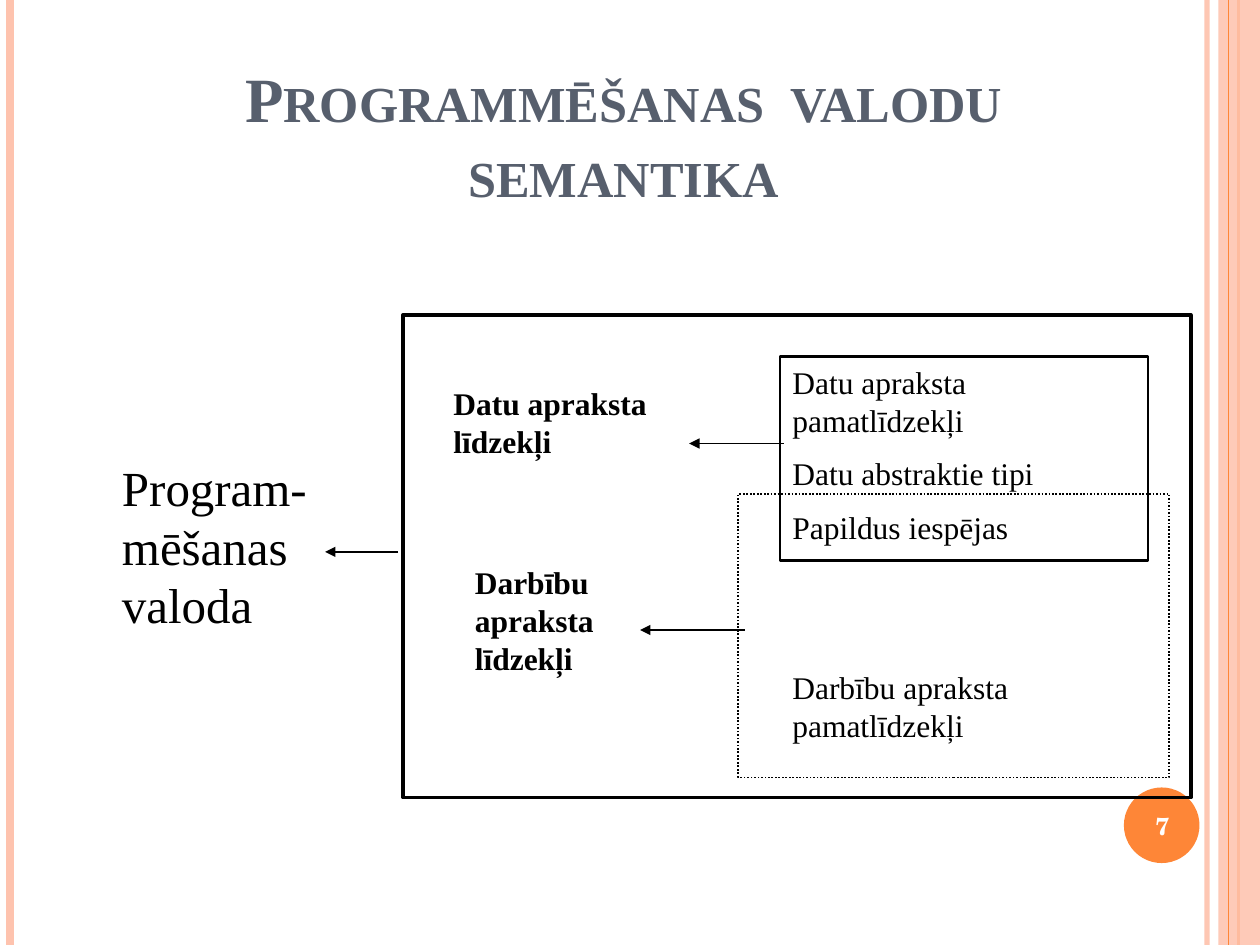
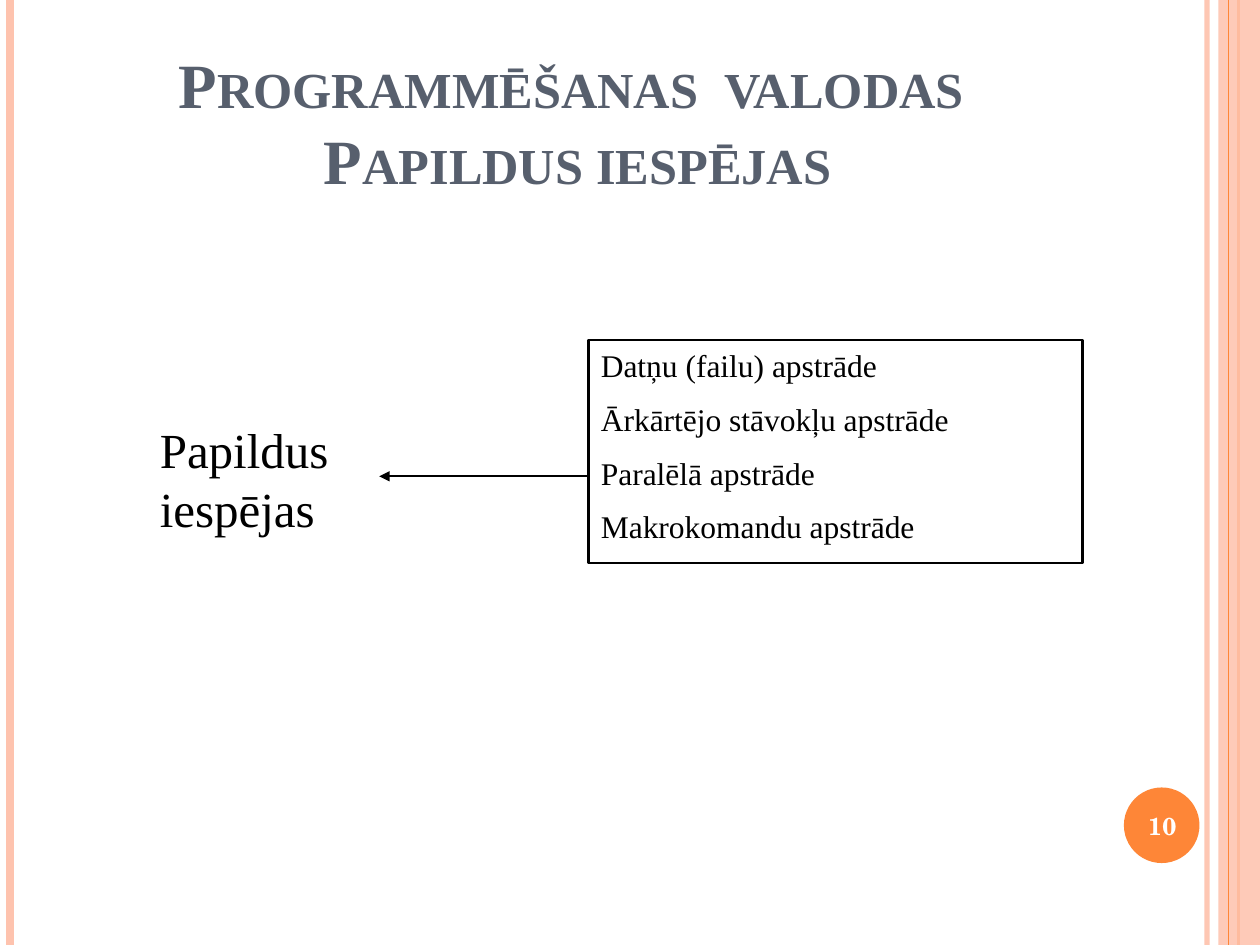
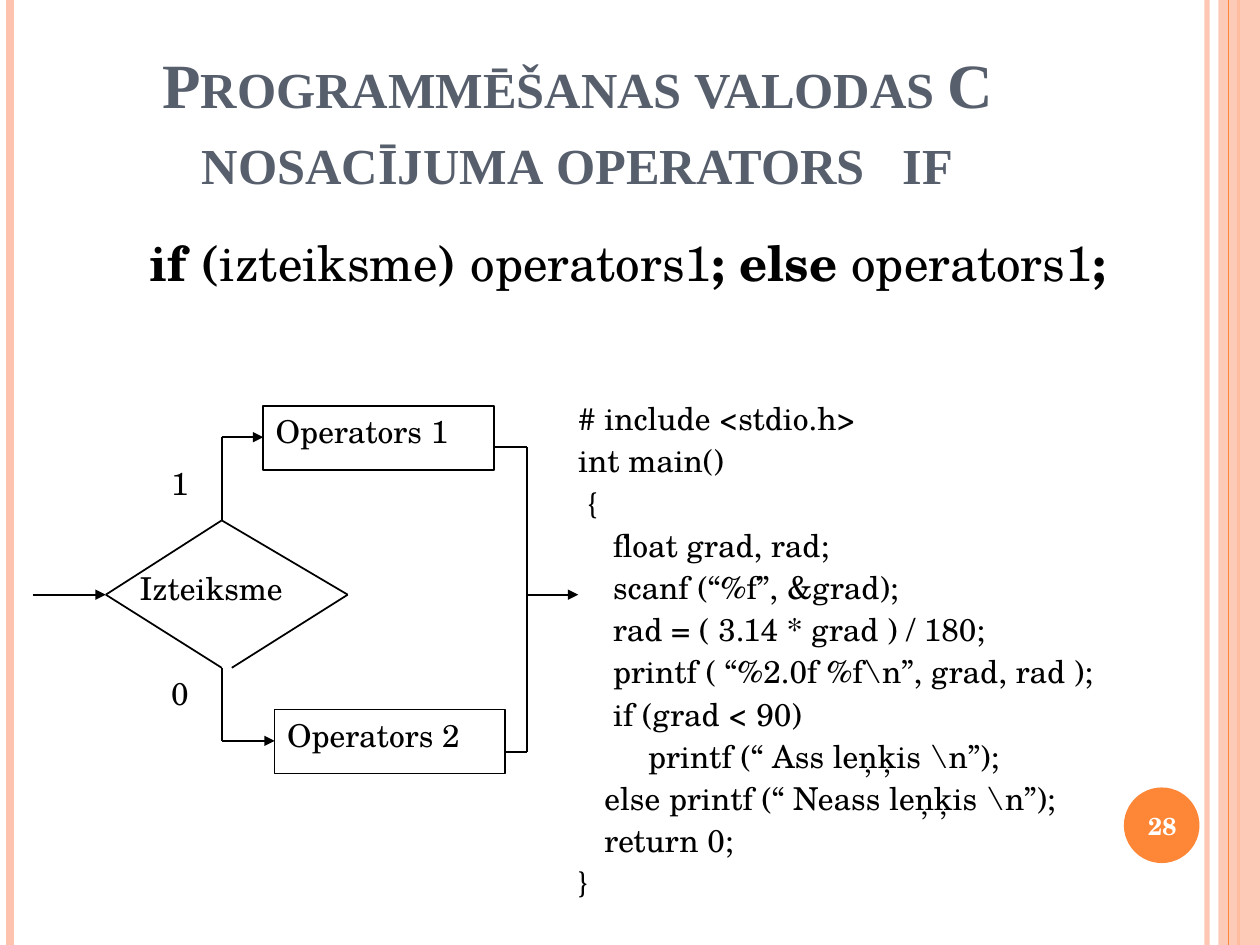
from lxml import etree
from pptx import Presentation
from pptx.dml.color import RGBColor
from pptx.enum.dml import MSO_LINE
from pptx.enum.shapes import MSO_CONNECTOR, MSO_SHAPE
from pptx.enum.text import MSO_ANCHOR, PP_ALIGN
from pptx.oxml.ns import qn
from pptx.util import Inches, Pt

STRAIGHT = MSO_CONNECTOR.STRAIGHT
RECTANGLE = MSO_SHAPE.RECTANGLE
OVAL = MSO_SHAPE.OVAL
DOTTED = MSO_LINE.ROUND_DOT
TOP, MIDDLE, BOTTOM = MSO_ANCHOR.TOP, MSO_ANCHOR.MIDDLE, MSO_ANCHOR.BOTTOM
LEFT, CENTER = PP_ALIGN.LEFT, PP_ALIGN.CENTER

BLACK, WHITE = "000000", "FFFFFF"
ORANGE, PEACH, SLATE = "FE8637", "FEC3AE", "575F6D"
SERIF, SCHOOLBOOK = "Times New Roman", "TeX Gyre Schola"
TITLE_BOX = (0.5, 0.3, 8.17, 1.31)

CODE = r"""# include <stdio.h>
int main()
 {
    float grad, rad;
    scanf (“%f”, &grad);
    rad = ( 3.14 * grad ) / 180;
    printf ( “%2.0f %f\n”, grad, rad );
    if (grad < 90)
        printf (“ Ass leņķis \n”);
   else printf (“ Neass leņķis \n”);
   return 0;
}"""


def rgb(hex_color):
    return RGBColor.from_string(hex_color)


def set_opacity(color_parent, percent):
    """Make the solid colour found inside an XML element partly transparent."""
    color = color_parent.find(".//" + qn("a:srgbClr"))
    etree.SubElement(color, qn("a:alpha")).set("val", str(percent * 1000))


def write_text(shape, paragraphs, size=18, font=SERIF, color=BLACK, bold=False,
               align=LEFT, anchor=TOP, line_spacing=None, small_caps=False):
    """Fill a shape; a paragraph is a string or a list of (text, bold) runs."""
    frame = shape.text_frame
    frame.word_wrap = True
    frame.vertical_anchor = anchor
    for index, content in enumerate(paragraphs):
        paragraph = frame.add_paragraph() if index else frame.paragraphs[0]
        paragraph.alignment = align
        if index:
            paragraph.space_before = Pt(size / 2)
        if line_spacing:
            paragraph.line_spacing = line_spacing
        runs = [(content, bold)] if isinstance(content, str) else content
        for text, run_bold in runs:
            for number, line in enumerate(text.split("\n")):
                if number:
                    paragraph.add_line_break()
                run = paragraph.add_run()
                run.text = line
                run.font.name = font
                run.font.size = Pt(size)
                run.font.bold = run_bold
                run.font.color.rgb = rgb(color)
                if small_caps:
                    run.font._element.set("cap", "small")


def add_text(slide, box, *paragraphs, **text_format):
    shape = slide.shapes.add_textbox(*map(Inches, box))
    write_text(shape, paragraphs, **text_format)


def add_filled(slide, kind, box, color):
    shape = slide.shapes.add_shape(kind, *map(Inches, box))
    shape.shadow.inherit = False
    shape.fill.solid()
    shape.fill.fore_color.rgb = rgb(color)
    shape.line.fill.background()
    return shape


def add_frame(slide, box, *paragraphs, width=1, dash=None, **text_format):
    """Add an unfilled, outlined rectangle, with text if any is given."""
    shape = slide.shapes.add_shape(RECTANGLE, *map(Inches, box))
    shape.shadow.inherit = False
    shape.fill.background()
    shape.line.color.rgb = rgb(BLACK)
    shape.line.width = Pt(width)
    if dash:
        shape.line.dash_style = dash
    write_text(shape, paragraphs, **text_format)


def add_line(slide, start, end, color=BLACK, width=1, arrow=False):
    """Add a straight line; arrow puts an arrowhead at its end."""
    line = slide.shapes.add_connector(STRAIGHT, *map(Inches, (*start, *end)))
    line.line.color.rgb = rgb(color)
    line.line.width = Pt(width)
    properties = line._element.spPr
    etree.SubElement(properties, qn("a:effectLst"))
    if arrow:
        tip = etree.SubElement(properties.find(qn("a:ln")), qn("a:tailEnd"))
        tip.set("type", "triangle")
    return line


def add_path(slide, *points, arrow=False):
    """Join points with lines; arrow marks the last point."""
    last = len(points) - 1
    for index in range(last):
        add_line(slide, points[index], points[index + 1],
                 arrow=arrow and index + 1 == last)


def add_stripe(slide, x, color, width):
    return add_line(slide, (x, 0), (x, 7.5), color, width)


def start_slide(presentation, title, number, title_box=TITLE_BOX):
    slide = presentation.slides.add_slide(presentation.slide_layouts[6])
    inner_stripe = add_stripe(slide, 9.58, PEACH, 3)
    set_opacity(inner_stripe._element.spPr, 93)
    add_stripe(slide, 0.08, PEACH, 4.5)
    add_stripe(slide, 9.83, ORANGE, 1.5)
    band = add_filled(slide, RECTANGLE, (9.67, 0, 0.33, 7.5), PEACH)
    set_opacity(band._element.spPr, 87)
    add_stripe(slide, 9.75, ORANGE, 0.75)
    add_filled(slide, OVAL, (8.92, 6.25, 0.6, 0.6), ORANGE)
    add_text(slide, title_box, title, size=36, color=SLATE, bold=True,
             align=CENTER, anchor=BOTTOM, small_caps=True)
    add_text(slide, (8.89, 6.27, 0.67, 0.57), str(number), size=14,
             font=SCHOOLBOOK, color=WHITE, bold=True, align=CENTER, anchor=MIDDLE)
    return slide


def build_semantics(presentation):
    slide = start_slide(presentation, "Programmēšanas  valodu semantika", 7,
                        title_box=(0.7, 0.47, 8.5, 1.25))
    add_frame(slide, (6.19, 2.83, 2.92, 1.62), "Datu apraksta pamatlīdzekļi",
              "Datu abstraktie tipi", "Papildus iespējas", width=1.5)
    add_text(slide, (6.19, 5.25, 2.92, 0.71), "Darbību apraksta pamatlīdzekļi")
    add_text(slide, (3.5, 3, 2.25, 0.71), "Datu apraksta līdzekļi", bold=True)
    add_text(slide, (3.67, 4.42, 1.75, 1.01), "Darbību apraksta līdzekļi", bold=True)
    add_frame(slide, (3.2, 2.5, 6.25, 3.83), width=2.25)
    add_frame(slide, (5.86, 3.92, 3.42, 2.25), dash=DOTTED)
    add_text(slide, (0.87, 3.58, 1.83, 1.5), "Program-mēšanas valoda", size=28)
    for tail_x, tip_x, y in ((6.22, 5.47, 3.52), (5.91, 5.08, 5), (3.16, 2.58, 4.38)):
        add_line(slide, (tail_x, y), (tip_x, y), arrow=True)


def build_extras(presentation):
    slide = start_slide(presentation, "Programmēšanas  valodas \nPapildus iespējas", 10)
    add_text(slide, (1.17, 3.28, 1.75, 1.03), "Papildus iespējas", size=28)
    add_frame(slide, (4.67, 2.7, 3.92, 1.77), "Datņu (failu) apstrāde",
              "Ārkārtējo stāvokļu apstrāde", "Paralēlā apstrāde",
              "Makrokomandu apstrāde", width=1.5)
    add_line(slide, (4.67, 3.78), (3.01, 3.78), arrow=True)


def build_condition(presentation):
    slide = start_slide(
        presentation, "Programmēšanas valodas C nosacījuma operators   if", 28)

    middle_y, left_x, top_x, merge_x = 4.72, 0.84, 1.76, 4.18
    diamond_left, diamond_right = (left_x, middle_y), (2.76, middle_y)
    diamond_top, diamond_bottom = (top_x, 4.13), (top_x, 5.3)
    add_path(slide, diamond_bottom, diamond_left, diamond_top, diamond_right,
             (1.84, 5.3))
    add_path(slide, (0.26, middle_y), diamond_left, arrow=True)
    add_path(slide, diamond_top, (top_x, 3.47), (2.09, 3.47), arrow=True)
    add_path(slide, diamond_bottom, (top_x, 5.88), (2.18, 5.88), arrow=True)
    add_path(slide, (3.93, 3.55), (merge_x, 3.55), (merge_x, 5.97), (4.01, 5.97))
    add_path(slide, (merge_x, middle_y), (4.59, middle_y), arrow=True)

    add_frame(slide, (2.09, 3.22, 1.83, 0.51), "Operators 1", font=SCHOOLBOOK)
    add_frame(slide, (2.18, 5.63, 1.83, 0.51), "Operators 2", font=SCHOOLBOOK)
    add_text(slide, (1.01, 4.47, 1.67, 0.5), "Izteiksme", font=SCHOOLBOOK)
    add_text(slide, (1.26, 3.63, 0.33, 0.5), "1", font=SCHOOLBOOK)
    add_text(slide, (1.26, 5.3, 0.42, 0.5), "0", font=SCHOOLBOOK)

    syntax = [("if (", True), ("izteiksme", False), (") ", True),
              ("operators1", False), ("; else ", True),
              ("operators1", False), (";", True)]
    add_text(slide, (1.09, 1.8, 7.83, 1.03), syntax, size=28, font=SCHOOLBOOK)
    add_text(slide, (4.49, 3.2, 5.1, 4.25), *CODE.splitlines(),
             font=SCHOOLBOOK, line_spacing=0.7)


def main():
    presentation = Presentation()
    presentation.slide_width = Inches(10)
    presentation.slide_height = Inches(7.5)
    build_semantics(presentation)
    build_extras(presentation)
    build_condition(presentation)
    presentation.save("out.pptx")


if __name__ == "__main__":
    main()
